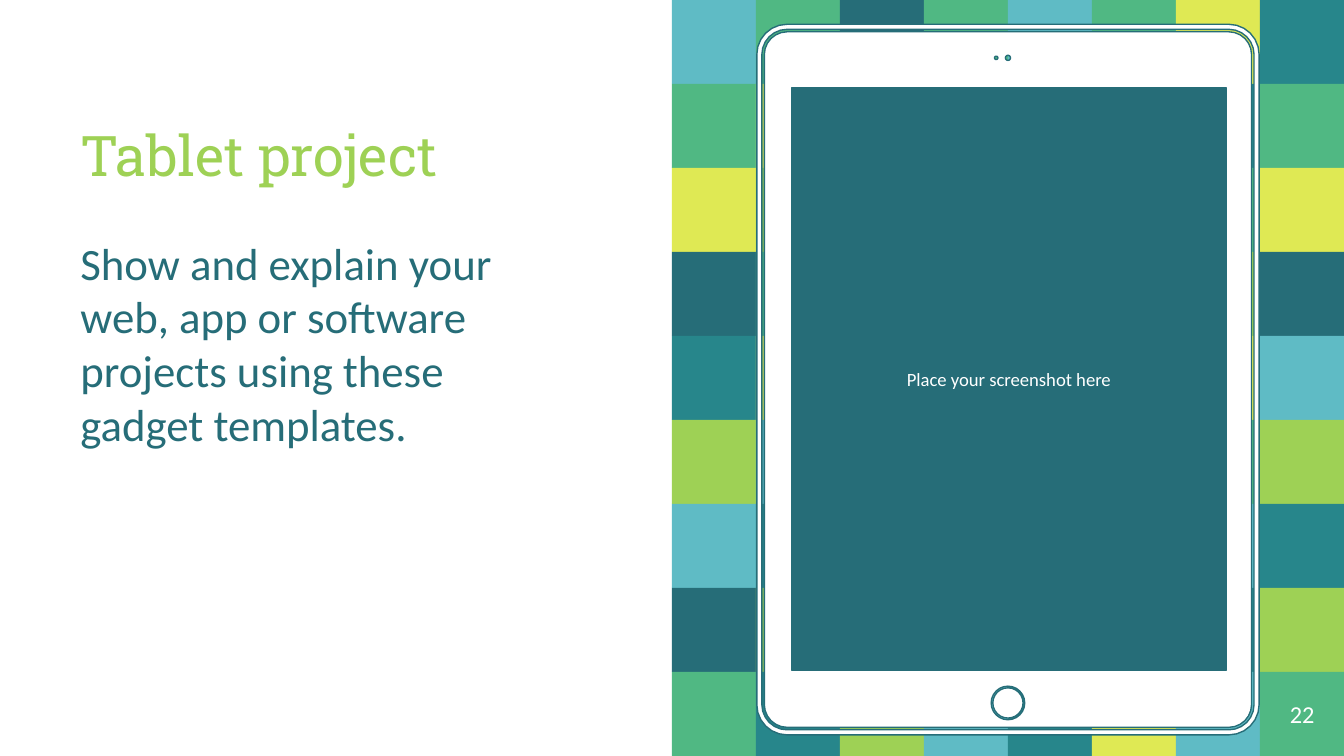
from dataclasses import dataclass
from math import cos, pi, sin

from pptx import Presentation
from pptx.dml.color import RGBColor
from pptx.enum.shapes import MSO_SHAPE as Preset
from pptx.enum.text import MSO_ANCHOR as Anchor, PP_ALIGN as Align
from pptx.shapes.autoshape import Shape
from pptx.slide import Slide
from pptx.util import Inches, Pt

COLUMNS, ROWS = 16, 9
CELL = Inches(10) // COLUMNS
COLORS = {
    "lime": "9ED155",
    "dark": "266D78",
    "yellow": "DFE954",
    "green": "50B883",
    "teal": "27868B",
    "sky": "5FBBC5",
    "white": "FFFFFF",
}
TILE_COLORS = {name[0].upper(): name for name in COLORS if name != "white"}
FIRST_TILE_COLUMN = 8
MOSAIC = (
    "SGDGSGYT",
    "GYTDYSTG",
    "YL....GY",
    "DG....LD",
    "TY....YS",
    "LS....GL",
    "ST....ST",
    "DLYDGDTL",
    "GTLSTYSG",
)


@dataclass(frozen=True)
class Area:
    column: float
    row: float
    columns: float
    rows: float

    def inset(self, gap: float) -> "Area":
        return Area(self.column + gap, self.row + gap,
                    self.columns - 2 * gap, self.rows - 2 * gap)

    def lengths(self) -> list[int]:
        return [round(value * CELL)
                for value in (self.column, self.row, self.columns, self.rows)]


@dataclass(frozen=True)
class Caption:
    text: str
    area: Area
    font: str
    size: float
    color: str
    anchor: Anchor = Anchor.TOP
    align: Align = Align.LEFT
    space_before: float = 0


@dataclass(frozen=True)
class Contour:
    area: Area
    radius: float = 0

    def points(self) -> list[tuple[int, int]]:
        area, radius = self.area, self.radius
        left, right = area.column + radius, area.column + area.columns - radius
        top, bottom = area.row + radius, area.row + area.rows - radius
        centres = ((right, bottom), (left, bottom), (left, top), (right, top))
        steps = range(7) if radius else range(1)
        return [
            (round((x + radius * cos(angle)) * CELL),
             round((y + radius * sin(angle)) * CELL))
            for corner, (x, y) in enumerate(centres)
            for angle in ((corner + step / 6) * pi / 2 for step in steps)
        ]


def circle(column: float, row: float, radius: float) -> Contour:
    return Contour(Area(column - radius, row - radius, 2 * radius, 2 * radius), radius)


TABLET = Area(9.01, 0.29, 5.98, 8.46)
SCREEN = Area(9.42, 1.05, 5.18, 6.93)
TABLET_CONTOURS = (
    Contour(TABLET, 0.36),
    Contour(TABLET.inset(0.06), 0.3),
    Contour(TABLET.inset(0.09), 0.27),
    Contour(SCREEN),
    circle(11.86, 0.69, 0.02),
    circle(12, 0.69, 0.03),
    circle(12, 8.37, 0.2),
    circle(12, 8.37, 0.18),
)
TITLE = Caption("Tablet project", Area(0.8, 0.9, 6.2, 1.5),
                "Roboto Slab", 30, "lime", Anchor.BOTTOM)
BODY = Caption(
    "Show and explain your web, app or software projects using these gadget templates.",
    Area(0.8, 2.64, 6.2, 5.71), "Calibri", 24, "dark", space_before=6)
PROMPT = Caption("Place your screenshot here", SCREEN,
                 "Calibri", 10, "white", Anchor.MIDDLE, Align.CENTER)
PAGE_NUMBER = Caption("22", Area(COLUMNS - 1, ROWS - 1, 1, 1),
                      "Calibri", 13, "white", Anchor.MIDDLE, Align.CENTER)


def rgb(color: str) -> RGBColor:
    return RGBColor.from_string(COLORS[color])


def paint(shape: Shape, color: str) -> None:
    shape.shadow.inherit = False
    shape.fill.solid()
    shape.fill.fore_color.rgb = rgb(color)


def draw_block(page: Slide, area: Area, color: str) -> Shape:
    block = page.shapes.add_shape(Preset.RECTANGLE, *area.lengths())
    paint(block, color)
    block.line.fill.background()
    return block


def draw_mosaic(page: Slide) -> None:
    for row, letters in enumerate(MOSAIC):
        for column, letter in enumerate(letters, FIRST_TILE_COLUMN):
            if letter in TILE_COLORS:
                draw_block(page, Area(column, row, 1, 1), TILE_COLORS[letter])


def draw_tablet(page: Slide) -> None:
    first, *others = [contour.points() for contour in TABLET_CONTOURS]
    builder = page.shapes.build_freeform(*first[0])
    builder.add_line_segments(first[1:], close=True)
    for points in others:
        builder.move_to(*points[0])
        builder.add_line_segments(points[1:], close=True)
    tablet = builder.convert_to_shape()
    paint(tablet, "white")
    tablet.line.color.rgb = rgb("dark")
    tablet.line.width = Pt(0.75)


def write(box: Shape, caption: Caption) -> None:
    frame = box.text_frame
    frame.word_wrap = True
    frame.vertical_anchor = caption.anchor
    frame.margin_left = frame.margin_right = Inches(0.1)
    frame.margin_top = frame.margin_bottom = Inches(0.1)
    para = frame.paragraphs[0]
    para.text = caption.text
    para.alignment = caption.align
    para.space_before = Pt(caption.space_before)
    para.font.name = caption.font
    para.font.size = Pt(caption.size)
    para.font.color.rgb = rgb(caption.color)


def draw_caption(page: Slide, caption: Caption) -> None:
    write(page.shapes.add_textbox(*caption.area.lengths()), caption)


def main() -> None:
    deck = Presentation()
    deck.slide_width, deck.slide_height = COLUMNS * CELL, ROWS * CELL
    page = deck.slides.add_slide(deck.slide_layouts[6])
    draw_mosaic(page)
    draw_tablet(page)
    draw_caption(page, BODY)
    write(draw_block(page, SCREEN, "dark"), PROMPT)
    draw_caption(page, PAGE_NUMBER)
    draw_caption(page, TITLE)
    deck.save("out.pptx")


if __name__ == "__main__":
    main()
